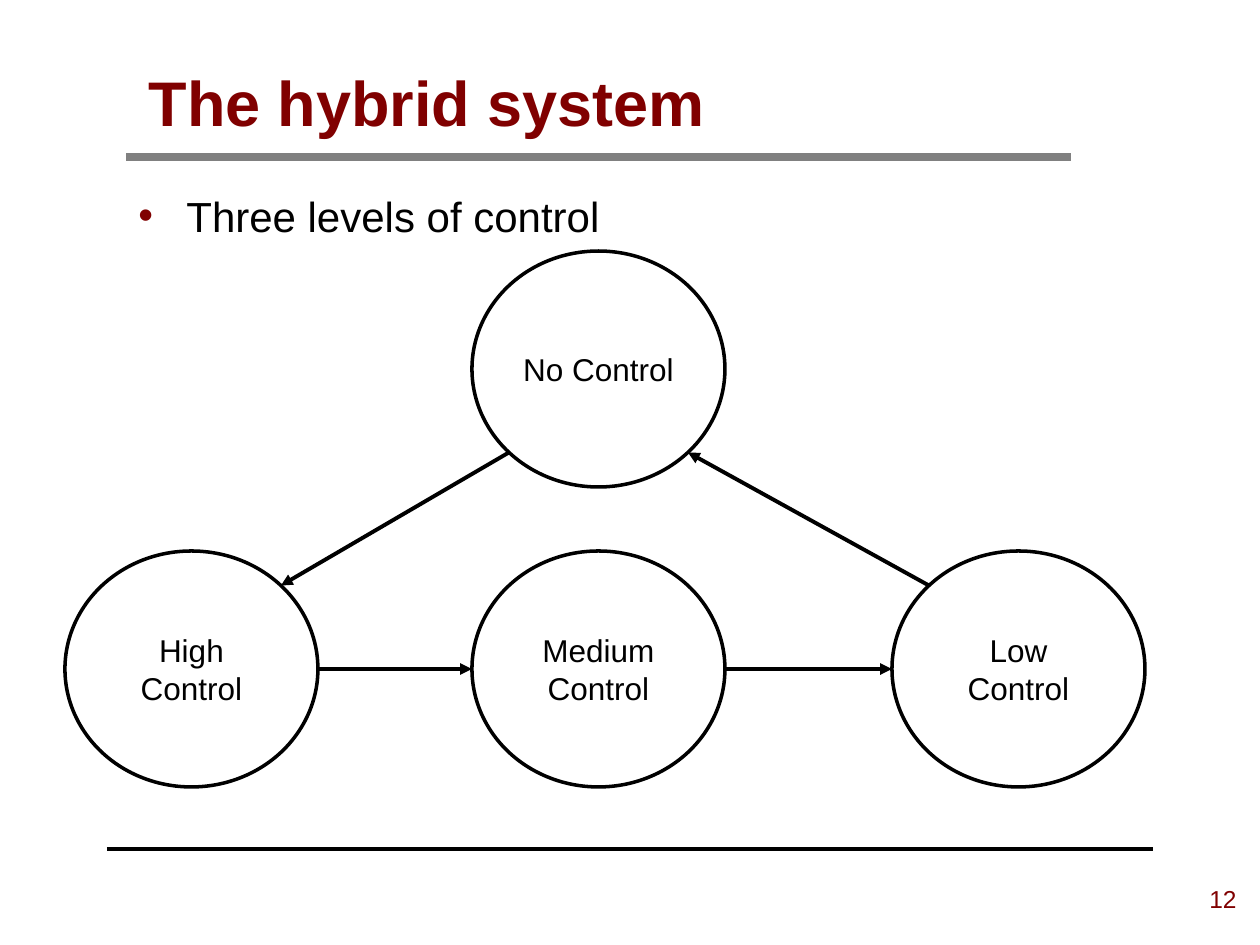
import pptx
import pptx.util
from pptx.dml.color import RGBColor
from pptx.enum.shapes import MSO_CONNECTOR, MSO_SHAPE
from pptx.enum.text import MSO_ANCHOR, PP_ALIGN
from pptx.oxml.ns import qn
from lxml import etree

EMU_PER_PX = 914400 / 126
FONT = "Arial"
MAROON = RGBColor(0x80, 0x00, 0x00)
BLACK = RGBColor(0x00, 0x00, 0x00)
GRAY = RGBColor(0x80, 0x80, 0x80)

STATE_SIZE = (253, 236)
LOWER_ROW_TOP = 551
# Connection sites of an ellipse, counted counter-clockwise from the top
UPPER_LEFT, LEFT, LOWER_LEFT, LOWER_RIGHT, RIGHT, UPPER_RIGHT = 1, 2, 3, 5, 6, 7
DIAGONAL = 0.5 ** 0.5
SITE_DIRECTIONS = {
    UPPER_LEFT: (-DIAGONAL, -DIAGONAL),
    LEFT: (-1, 0),
    LOWER_LEFT: (-DIAGONAL, DIAGONAL),
    LOWER_RIGHT: (DIAGONAL, DIAGONAL),
    RIGHT: (1, 0),
    UPPER_RIGHT: (DIAGONAL, -DIAGONAL),
}


def px(length):
    return pptx.util.Emu(round(length * EMU_PER_PX))


def add_run(paragraph, text, size, color, bold=False):
    run = paragraph.add_run()
    run.text = text
    run.font.name = FONT
    run.font.size = pptx.util.Pt(size)
    run.font.bold = bold
    run.font.color.rgb = color


def add_line(slide, start, end, color, width):
    """Draw a straight line between two points given in EMU."""
    line = slide.shapes.add_connector(MSO_CONNECTOR.STRAIGHT, *start, *end)
    line.line.color.rgb = color
    line.line.width = pptx.util.Pt(width)
    etree.SubElement(line._element.spPr, qn("a:effectLst"))
    return line


def add_rule(slide, left, right, y, color, width):
    add_line(slide, (px(left), px(y)), (px(right), px(y)), color, width)


def add_title(slide, text):
    title = slide.shapes.title
    title.left, title.top, title.width, title.height = map(px, (136, 53, 974, 97))
    frame = title.text_frame
    frame.vertical_anchor = MSO_ANCHOR.MIDDLE
    frame.paragraphs[0].alignment = PP_ALIGN.LEFT
    add_run(frame.paragraphs[0], text, 36, MAROON, bold=True)


def add_text_box(slide, box):
    """Add a wrapping text box and return its first paragraph."""
    frame = slide.shapes.add_textbox(*map(px, box)).text_frame
    frame.word_wrap = True
    return frame.paragraphs[0]


def add_bullet(slide, text):
    paragraph = add_text_box(slide, (126, 184, 995, 640))
    properties = paragraph._p.get_or_add_pPr()
    properties.set("marL", str(px(48)))
    properties.set("indent", str(px(-48)))
    bullet_color = etree.SubElement(properties, qn("a:buClr"))
    etree.SubElement(bullet_color, qn("a:srgbClr"), val=str(MAROON))
    etree.SubElement(properties, qn("a:buFont"), typeface=FONT)
    etree.SubElement(properties, qn("a:buChar"), char="•")
    add_run(paragraph, text, 24, BLACK)


def add_page_number(slide, number):
    paragraph = add_text_box(slide, (1110, 878, 139, 63))
    paragraph.alignment = PP_ALIGN.RIGHT
    add_run(paragraph, number, 14, MAROON)


def add_state(slide, left, top, *label_lines):
    state = slide.shapes.add_shape(
        MSO_SHAPE.OVAL, *map(px, (left, top, *STATE_SIZE)))
    state.shadow.inherit = False
    state.fill.background()
    state.line.color.rgb = BLACK
    state.line.width = pptx.util.Pt(2)
    frame = state.text_frame
    frame.vertical_anchor = MSO_ANCHOR.MIDDLE
    for index, label in enumerate(label_lines):
        paragraph = frame.add_paragraph() if index else frame.paragraphs[0]
        paragraph.alignment = PP_ALIGN.CENTER
        add_run(paragraph, label, 18, BLACK)
    return state


def site_position(state, site):
    """Return the point of an ellipse's connection site."""
    across, down = SITE_DIRECTIONS[site]
    return (round(state.left + state.width * (1 + across) / 2),
            round(state.top + state.height * (1 + down) / 2))


def add_transition(slide, source, source_site, target, target_site):
    """Draw an arrow glued to a connection site of each state."""
    arrow = add_line(slide, site_position(source, source_site),
                     site_position(target, target_site), BLACK, 2.25)
    outline = arrow._element.spPr.find(qn("a:ln"))
    etree.SubElement(outline, qn("a:tailEnd"), type="triangle")
    glue = arrow._element.find(".//" + qn("p:cNvCxnSpPr"))
    for tag, state, site in (("a:stCxn", source, source_site),
                             ("a:endCxn", target, target_site)):
        etree.SubElement(glue, qn(tag), id=str(state.shape_id), idx=str(site))


def main():
    deck = pptx.Presentation()
    deck.slide_width, deck.slide_height = px(1260), px(945)
    slide = deck.slides.add_slide(deck.slide_layouts[5])

    add_rule(slide, 107, 1153, 849, BLACK, 2)
    add_rule(slide, 126, 1071, 157, GRAY, 5)
    add_title(slide, "The hybrid system")
    add_bullet(slide, "Three levels of control")
    add_page_number(slide, "12")

    no_control = add_state(slide, 472, 251, "No Control")
    high = add_state(slide, 65, LOWER_ROW_TOP, "High", "Control")
    medium = add_state(slide, 472, LOWER_ROW_TOP, "Medium", "Control")
    low = add_state(slide, 892, LOWER_ROW_TOP, "Low", "Control")

    add_transition(slide, no_control, LOWER_LEFT, high, UPPER_RIGHT)
    add_transition(slide, high, RIGHT, medium, LEFT)
    add_transition(slide, medium, RIGHT, low, LEFT)
    add_transition(slide, low, UPPER_LEFT, no_control, LOWER_RIGHT)

    deck.save("out.pptx")


if __name__ == "__main__":
    main()
